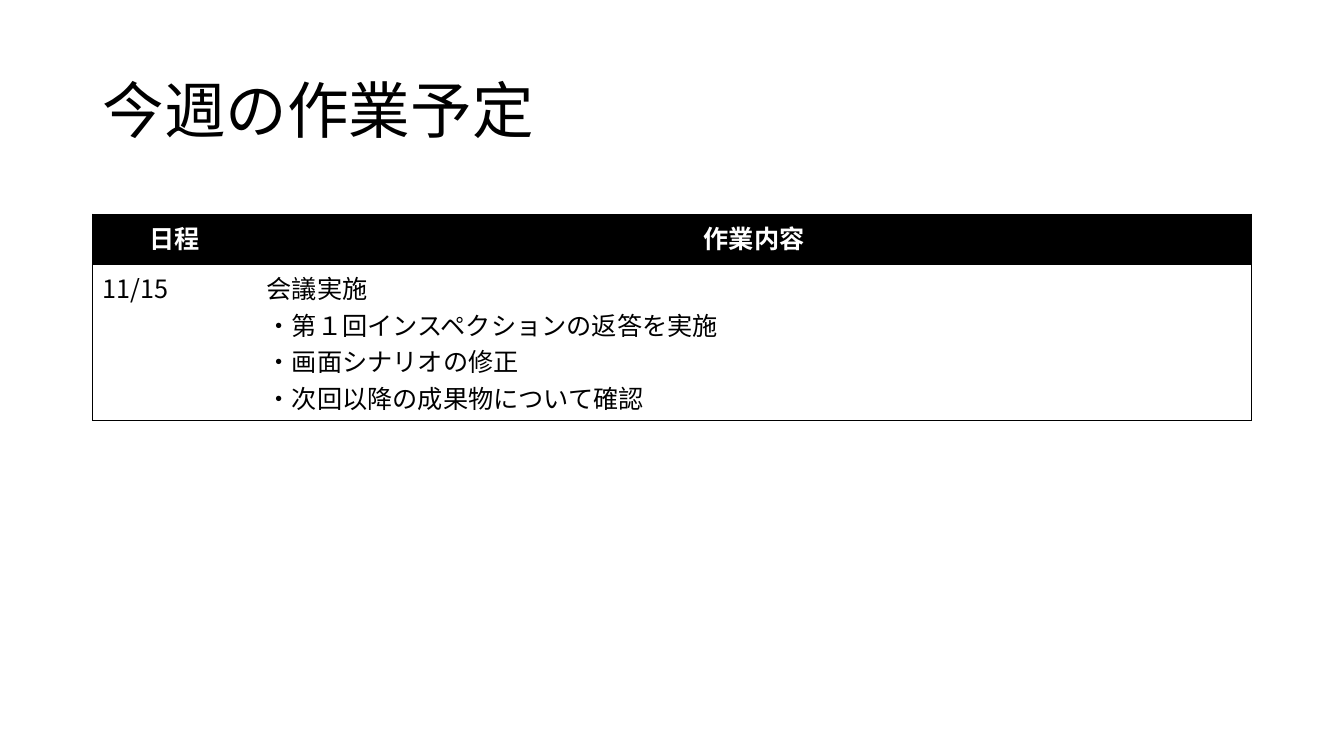
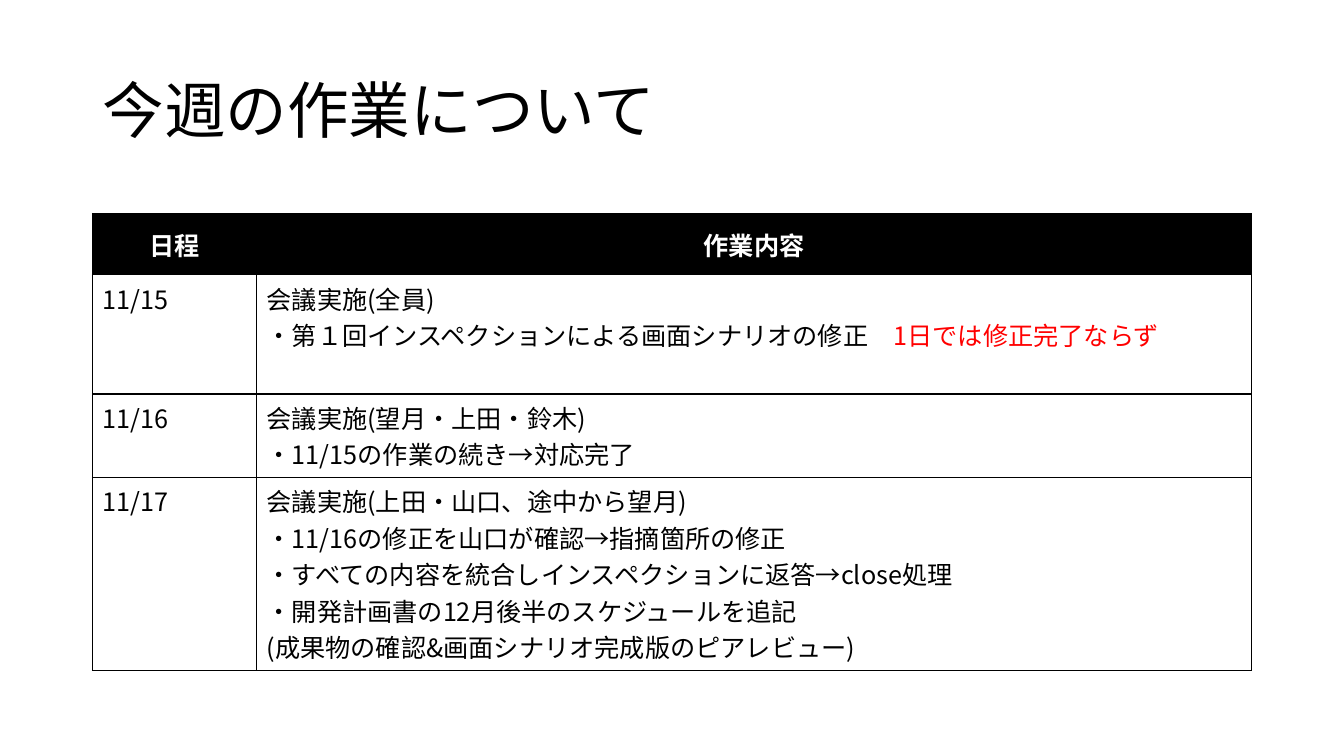
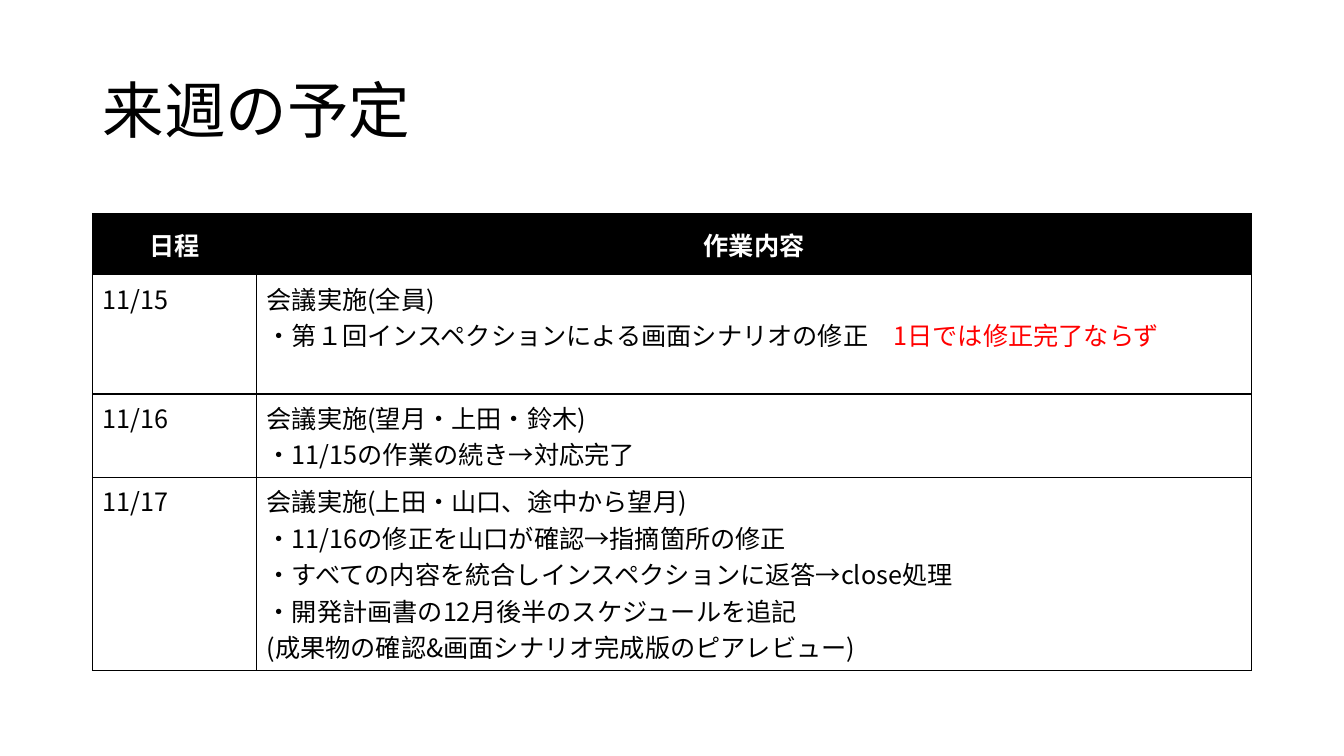
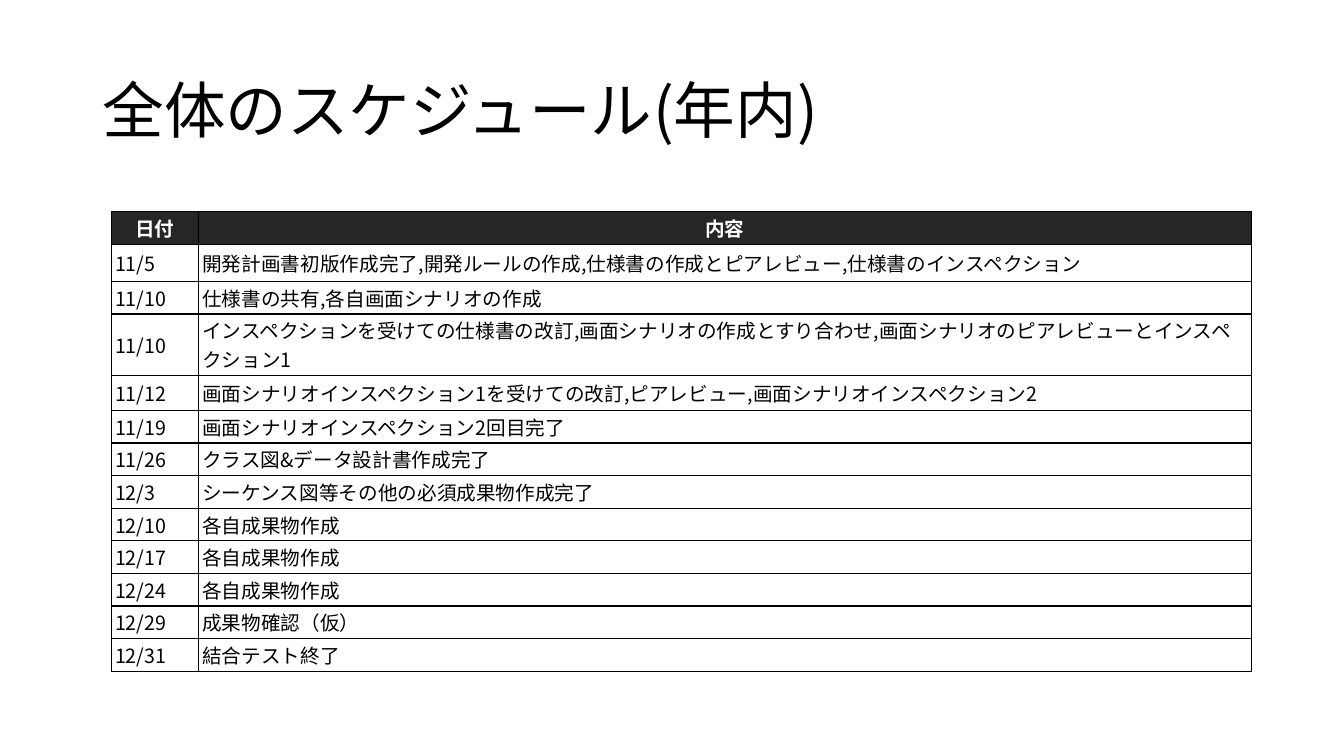
from lxml.etree import SubElement
from pptx import Presentation
from pptx.dml.color import RGBColor
from pptx.enum.text import MSO_ANCHOR, MSO_AUTO_SIZE, PP_ALIGN
from pptx.oxml.ns import qn
from pptx.util import Cm, Pt

# Shared look
FONT = "Noto Sans CJK JP"
COLOURS = {"ink": "000000", "paper": "FFFFFF", "charcoal": "262626", "alert": "FF0000"}
TITLE_PLACE = {"left": Cm(2.33), "top": Cm(1.01), "width": Cm(29.21), "height": Cm(3.68)}
TITLE_FRAME = {"word_wrap": True, "auto_size": MSO_AUTO_SIZE.NONE,
               "vertical_anchor": MSO_ANCHOR.MIDDLE}

# Table formats, lengths in centimetres
WEEK_TABLE = {"left": 2.33, "top": 5.39, "columns": [4.14, 25.07], "size": 18,
              "header": "ink", "header_anchor": MSO_ANCHOR.MIDDLE,
              "body_anchor": MSO_ANCHOR.TOP, "margins": (0.25, 0.13),
              "line": 1, "grid": True}
PLAN_TABLE = WEEK_TABLE | {"header_anchor": MSO_ANCHOR.TOP, "line": 0.5, "grid": False}
YEAR_TABLE = WEEK_TABLE | {"left": 2.8, "top": 5.33, "columns": [2.2, 26.54], "size": 14,
                           "header": "charcoal", "body_anchor": MSO_ANCHOR.MIDDLE,
                           "margins": (0.1, 0.05)}

# Rows: height, then the lines of each cell; a tuple is plain text and an alert
WEEK_HEAD = ["日程"], ["作業内容"]
plan_rows = [
    (1.27, *WEEK_HEAD),
    (3.93, ["11/15"], ["会議実施", "・第１回インスペクションの返答を実施",
                       "・画面シナリオの修正", "・次回以降の成果物について確認"]),
]
week_rows = [
    (1.53, *WEEK_HEAD),
    (3.01, ["11/15"], ["会議実施(全員)",
                       ("・第１回インスペクションによる画面シナリオの修正　",
                        "1日では修正完了ならず")]),
    (2.1, ["11/16"], ["会議実施(望月・上田・鈴木)", "・11/15の作業の続き→対応完了"]),
    (4.86, ["11/17"], ["会議実施(上田・山口、途中から望月)",
                       "・11/16の修正を山口が確認→指摘箇所の修正",
                       "・すべての内容を統合しインスペクションに返答→close処理",
                       "・開発計画書の12月後半のスケジュールを追記",
                       "(成果物の確認&画面シナリオ完成版のピアレビュー)"]),
]
year_rows = [
    (height, [date], [task]) for height, date, task in [
        (0.82, "日付", "内容"),
        (0.94, "11/5", "開発計画書初版作成完了,開発ルールの作成,仕様書の作成とピアレビュー,仕様書のインスペクション"),
        (0.82, "11/10", "仕様書の共有,各自画面シナリオの作成"),
        (1.53, "11/10", "インスペクションを受けての仕様書の改訂,画面シナリオの作成とすり合わせ,画面シナリオのピアレビューとインスペクション1"),
        (0.89, "11/12", "画面シナリオインスペクション1を受けての改訂,ピアレビュー,画面シナリオインスペクション2"),
        (0.82, "11/19", "画面シナリオインスペクション2回目完了"),
        (0.82, "11/26", "クラス図&データ設計書作成完了"),
        (0.82, "12/3", "シーケンス図等その他の必須成果物作成完了"),
        (0.82, "12/10", "各自成果物作成"),
        (0.82, "12/17", "各自成果物作成"),
        (0.82, "12/24", "各自成果物作成"),
        (0.82, "12/29", "成果物確認（仮）"),
        (0.82, "12/31", "結合テスト終了"),
    ]
]
pages = [
    ("今週の作業予定", PLAN_TABLE, plan_rows),
    ("今週の作業について", WEEK_TABLE, week_rows),
    ("来週の予定", WEEK_TABLE, week_rows),
    ("全体のスケジュール(年内)", YEAR_TABLE, year_rows),
]


def add_span(para, text, size, colour, bold=False):
    span = para.add_run()
    span.text = text
    for name, value in {"name": FONT, "size": Pt(size), "bold": bold}.items():
        setattr(span.font, name, value)
    span.font.color.rgb = RGBColor.from_string(COLOURS[colour])
    SubElement(span.font._element, qn("a:ea"), typeface=FONT)


def add_borders(cell, shown, points):
    properties = cell._tc.get_or_add_tcPr()
    for side in "LRTB":
        line = SubElement(properties, qn(f"a:ln{side}"), w=str(Pt(points)))
        if side in shown:
            fill = SubElement(line, qn("a:solidFill"))
            SubElement(fill, qn("a:srgbClr"), val=COLOURS["ink"])
        else:
            SubElement(line, qn("a:noFill"))


deck = Presentation()
deck.slide_width, deck.slide_height = Cm(33.87), Cm(19.05)

for title, style, rows in pages:
    page = deck.slides.add_slide(deck.slide_layouts[5])

    # Title
    box = page.shapes.title
    for name, value in TITLE_PLACE.items():
        setattr(box, name, value)
    for name, value in TITLE_FRAME.items():
        setattr(box.text_frame, name, value)
    para = box.text_frame.paragraphs[0]
    para.alignment, para.line_spacing = PP_ALIGN.LEFT, 0.9
    add_span(para, title, 44, "ink")

    # Table
    columns = style["columns"]
    table = page.shapes.add_table(
        len(rows), len(columns), Cm(style["left"]), Cm(style["top"]),
        Cm(sum(columns)), Cm(sum(row[0] for row in rows))).table
    table.horz_banding = False
    for column, width in zip(table.columns, columns):
        column.width = Cm(width)

    for r, (height, *contents) in enumerate(rows):
        table.rows[r].height = Cm(height)
        header = r == 0
        for c, lines in enumerate(contents):
            cell = table.cell(r, c)
            side, edge = (Cm(margin) for margin in style["margins"])
            cell_format = {
                "margin_left": side, "margin_right": side,
                "margin_top": edge, "margin_bottom": edge,
                "vertical_anchor": style["header_anchor" if header else "body_anchor"],
            }
            for name, value in cell_format.items():
                setattr(cell, name, value)

            # Without a grid, only the outline and the row tops are drawn
            outline = ("L" if c == 0 else "R") + ("T" if header else "TB")
            add_borders(cell, "LRTB" if style["grid"] else outline, style["line"])
            cell.fill.solid()
            cell.fill.fore_color.rgb = RGBColor.from_string(
                COLOURS[style["header"] if header else "paper"])

            # Cell text
            for i, line in enumerate(lines):
                frame = cell.text_frame
                para = frame.paragraphs[0] if i == 0 else frame.add_paragraph()
                para.alignment = PP_ALIGN.CENTER if header else PP_ALIGN.LEFT
                plain, *alerts = [line] if isinstance(line, str) else line
                add_span(para, plain, style["size"], "paper" if header else "ink", header)
                for alert in alerts:
                    add_span(para, alert, style["size"], "alert")

deck.save("out.pptx")
